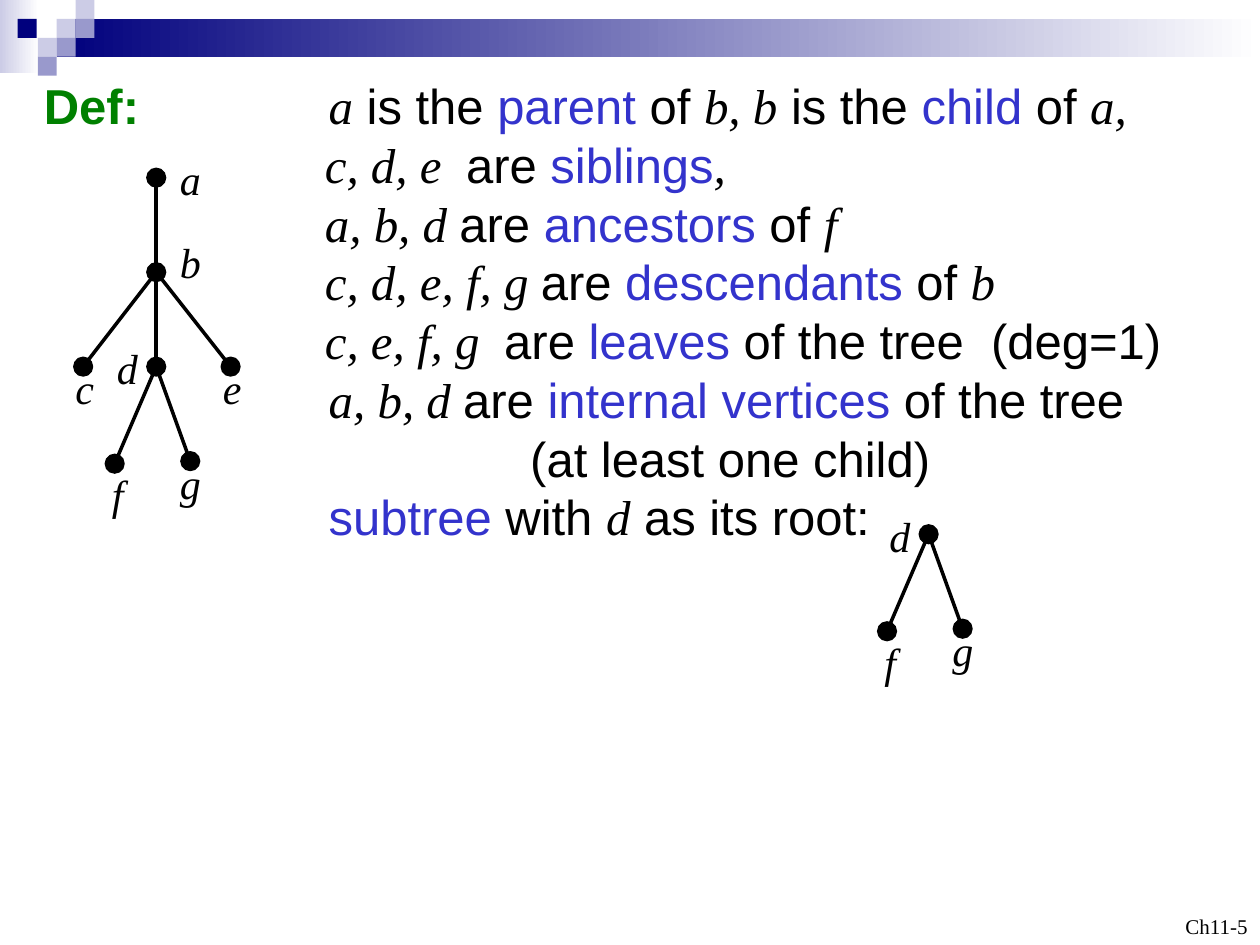
from pptx import Presentation
from pptx.dml.color import RGBColor
from pptx.enum.shapes import MSO_CONNECTOR, MSO_SHAPE
from pptx.enum.text import MSO_ANCHOR, PP_ALIGN
from pptx.oxml.ns import qn
from pptx.util import Inches, Pt
from lxml import etree

RECTANGLE, OVAL = MSO_SHAPE.RECTANGLE, MSO_SHAPE.OVAL
STRAIGHT = MSO_CONNECTOR.STRAIGHT
MIDDLE, BOTTOM = MSO_ANCHOR.MIDDLE, MSO_ANCHOR.BOTTOM
RIGHT = PP_ALIGN.RIGHT

BLACK = RGBColor(0x00, 0x00, 0x00)
WHITE = RGBColor(0xFF, 0xFF, 0xFF)
GREEN = RGBColor(0x00, 0x80, 0x00)
BLUE = RGBColor(0x33, 0x33, 0xCC)
NAVY = RGBColor(0x00, 0x00, 0x7D)
LAVENDER = RGBColor(0xCC, 0xCC, 0xE6)
PERIWINKLE = RGBColor(0x99, 0x99, 0xCC)
SANS, SERIF = "Arial", "Times New Roman"

# Header: gradient bars (left, top, width, height, start colour) and squares
BARS = [(0, 0, 0.31, 0.58, LAVENDER), (0.45, 0.15, 9.55, 0.3, NAVY)]
SQUARE = 0.15
SQUARES = [
    (0.45, 0.15, LAVENDER), (0.6, 0, LAVENDER), (0.6, 0.15, PERIWINKLE),
    (0.3, 0.3, LAVENDER), (0.14, 0.15, NAVY), (0.45, 0.3, PERIWINKLE),
    (0.3, 0.45, PERIWINKLE),
]

# Run styles: font, colour, bold, italic
STYLES = {
    "heading": (SANS, GREEN, True, False),
    "plain": (SANS, BLACK, False, False),
    "term": (SANS, BLUE, False, False),
    "vertex": (SERIF, BLACK, False, True),
}

# Definitions: left indent and styled runs of each line
VERTEX_INDENT, TEXT_INDENT, NOTE_INDENT = 2.23, 2.26, 3.86
DEFINITIONS = [
    (TEXT_INDENT, [("heading", "Def:\t"), ("vertex", "a"), ("plain", " is the "),
                   ("term", "parent"), ("plain", " of "), ("vertex", "b, b"),
                   ("plain", " is the "), ("term", "child"), ("plain", " of "),
                   ("vertex", "a,")]),
    (VERTEX_INDENT, [("vertex", "c, d, e  "), ("plain", "are "),
                     ("term", "siblings"), ("vertex", ",")]),
    (VERTEX_INDENT, [("vertex", "a, b, d "), ("plain", "are "),
                     ("term", "ancestors"), ("plain", " of "), ("vertex", "f")]),
    (VERTEX_INDENT, [("vertex", "c, d, e, f, g "), ("plain", "are "),
                     ("term", "descendants"), ("plain", " of "), ("vertex", "b")]),
    (VERTEX_INDENT, [("vertex", "c, e, f, g  "), ("plain", "are "),
                     ("term", "leaves"), ("plain", " of the tree  (deg=1)")]),
    (TEXT_INDENT, [("vertex", "a, b, d "), ("plain", "are "),
                   ("term", "internal vertices "), ("plain", "of the tree")]),
    (NOTE_INDENT, [("plain", "(at least one child)")]),
    (TEXT_INDENT, [("term", "subtree"), ("plain", " with "), ("vertex", "d"),
                   ("plain", " as its root:")]),
]

# Tree: vertex centre, then label left, top and width
VERTICES = {
    "a": ((1.24, 1.41), (1.33, 1.17, 0.37)),
    "b": ((1.24, 2.16), (1.33, 1.83, 0.37)),
    "c": ((0.66, 2.91), (0.5, 2.83, 0.35)),
    "d": ((1.24, 2.91), (0.83, 2.67, 0.37)),
    "e": ((1.83, 2.91), (1.67, 2.83, 0.35)),
    "f": ((0.91, 3.68), (0.79, 3.67, 0.29)),
    "g": ((1.51, 3.66), (1.33, 3.58, 0.37)),
}
EDGES = ["ab", "bc", "bd", "be", "df", "dg"]
SUBTREE_SHIFT = (6.13, 1.33)
DOT = 0.15


def add_filled(slide, preset, left, top, width, height, color):
    shape = slide.shapes.add_shape(
        preset, Inches(left), Inches(top), Inches(width), Inches(height))
    shape.shadow.inherit = False
    shape.fill.solid()
    shape.fill.fore_color.rgb = color
    shape.line.fill.background()
    return shape


def add_text_box(slide, left, top, width, height, wrap=True):
    box = slide.shapes.add_textbox(
        Inches(left), Inches(top), Inches(width), Inches(height))
    box.text_frame.word_wrap = wrap
    return box.text_frame


def add_run(paragraph, text, style, size):
    run = paragraph.add_run()
    run.text = text
    font = run.font
    font.size = Pt(size)
    font.name, font.color.rgb, font.bold, font.italic = STYLES[style]


def add_header(slide):
    for left, top, width, height, color in BARS:
        bar = add_filled(slide, RECTANGLE, left, top, width, height, color)
        bar.fill.gradient()
        bar.fill.gradient_angle = 0
        for stop, stop_color in zip(bar.fill.gradient_stops, (color, WHITE)):
            stop.color.rgb = stop_color
    for left, top, color in SQUARES:
        add_filled(slide, RECTANGLE, left, top, SQUARE, SQUARE, color)


def add_definitions(slide):
    frame = add_text_box(slide, 0.25, 0.59, 9.58, 3.75)
    frame.vertical_anchor = MIDDLE
    for index, (indent, runs) in enumerate(DEFINITIONS):
        paragraph = frame.add_paragraph() if index else frame.paragraphs[0]
        properties = paragraph._p.get_or_add_pPr()
        properties.set("marL", str(Inches(indent)))
        # The heading hangs to the left of the first definition
        properties.set("indent", str(0 if index else -Inches(indent)))
        paragraph.line_spacing = Pt(33.6)
        for style, text in runs:
            add_run(paragraph, text, style, 28)


def add_tree(slide, names, shift=(0, 0)):
    shift_x, shift_y = shift
    centers = {name: (VERTICES[name][0][0] + shift_x, VERTICES[name][0][1] + shift_y)
               for name in names}
    for start, end in EDGES:
        if start in centers and end in centers:
            points = [Inches(value) for value in centers[start] + centers[end]]
            edge = slide.shapes.add_connector(STRAIGHT, *points)
            edge.line.color.rgb = BLACK
            edge.line.width = Pt(2)
            etree.SubElement(edge._element.spPr, qn("a:effectLst"))
    for name, (x, y) in centers.items():
        dot = add_filled(slide, OVAL, x - DOT / 2, y - DOT / 2, DOT, DOT, BLACK)
        dot.line.color.rgb = BLACK
        dot.line.width = Pt(0.75)
        left, top, width = VERTICES[name][1]
        label = add_text_box(slide, left + shift_x, top + shift_y, width, 0.5, wrap=False)
        add_run(label.paragraphs[0], name, "vertex", 24)


def add_page_number(slide):
    frame = add_text_box(slide, 7.67, 7, 2.33, 0.5)
    frame.vertical_anchor = BOTTOM
    paragraph = frame.paragraphs[0]
    paragraph.text = "Ch11-5"
    paragraph.alignment = RIGHT
    font = paragraph.runs[0].font
    font.name, font.size, font.color.rgb = SERIF, Pt(12), BLACK


def main():
    presentation = Presentation()
    presentation.slide_width, presentation.slide_height = Inches(10), Inches(7.5)
    slide = presentation.slides.add_slide(presentation.slide_layouts[6])
    add_header(slide)
    add_definitions(slide)
    add_tree(slide, "abcdefg")
    add_tree(slide, "dfg", SUBTREE_SHIFT)
    add_page_number(slide)
    presentation.save("out.pptx")


if __name__ == "__main__":
    main()
